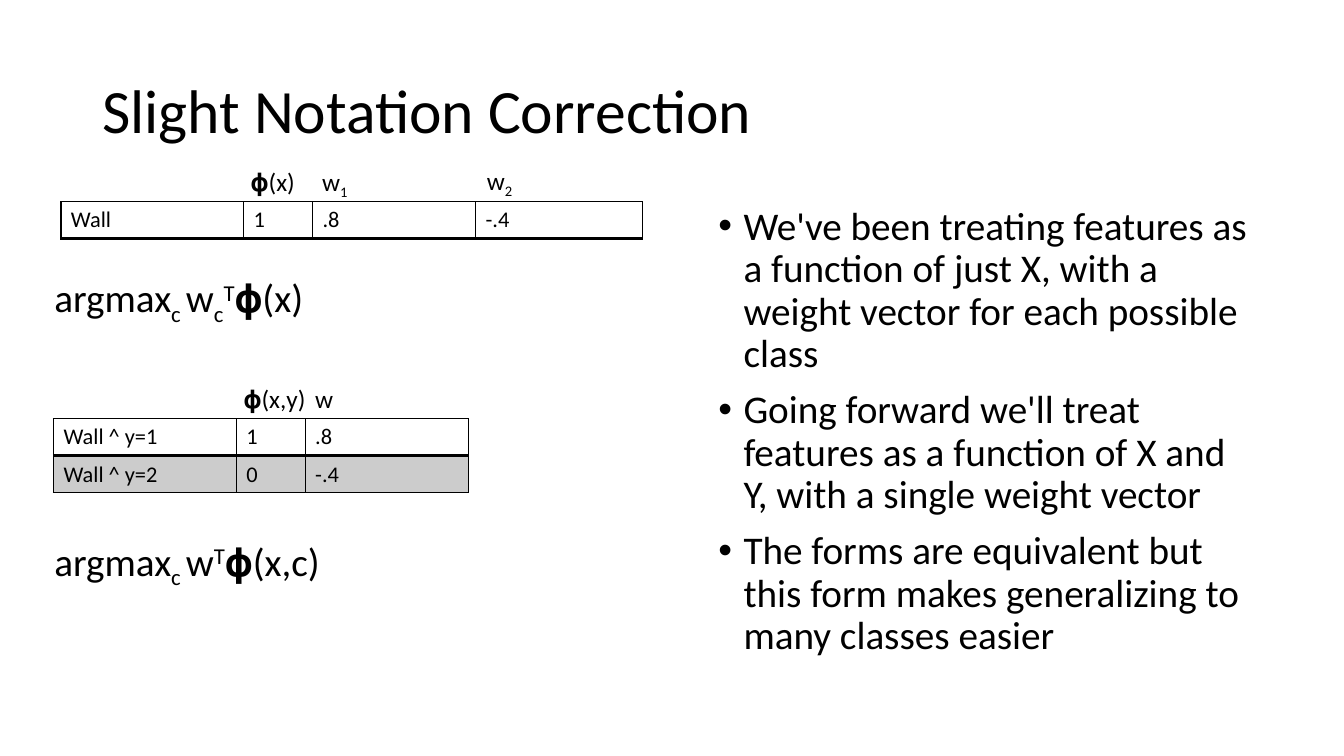
from pptx import Presentation
from pptx.dml.color import RGBColor
from pptx.enum import text
from pptx.oxml import parse_xml
from pptx.oxml.ns import nsdecls, qn
from pptx.util import Pt

COLORS = {"ink": "000000"}
FONT = "Calibri"
SUB, SUPER = -25000, 30000
FEATURE, VALUE, WEIGHT_1, WEIGHT_2 = 130.5, 49.25, 116.5, 119


def style(paragraph, size):
    font = paragraph.font
    font.name, font.size = FONT, Pt(size)
    font.color.rgb = RGBColor.from_string(COLORS["ink"])


def add_box(slide, left, top, width, height, wrap=True):
    shape = slide.shapes.add_textbox(Pt(left), Pt(top), Pt(width), Pt(height))
    shape.text_frame.word_wrap = wrap
    return shape.text_frame


def add_title(slide, title):
    frame = add_box(slide, 66, 28.75, 828, 104.5)
    frame.vertical_anchor = text.MSO_ANCHOR.MIDDLE
    paragraph = frame.paragraphs[0]
    paragraph.text = title
    paragraph.line_spacing = 0.9
    style(paragraph, 44)


def add_bullets(slide, items):
    frame = add_box(slide, 506, 144, 397.5, 384.5)
    for index, item in enumerate(items):
        paragraph = frame.add_paragraph() if index else frame.paragraphs[0]
        paragraph.text = item
        paragraph.line_spacing = 0.9
        if index:
            paragraph.space_before = Pt(10)
        properties = paragraph._p.get_or_add_pPr()
        properties.set("marL", str(Pt(18)))
        properties.set("indent", str(Pt(-18)))
        properties.append(parse_xml(f'<a:buFont {nsdecls("a")} typeface="Arial"/>'))
        properties.append(parse_xml(f'<a:buChar {nsdecls("a")} char="•"/>'))
        style(paragraph, 28)


def add_notation(slide, left, top, width, height, size, parts, wrap=True):
    """Write one line from (words, baseline shift) parts."""
    paragraph = add_box(slide, left, top, width, height, wrap).paragraphs[0]
    for words, baseline in parts:
        run = paragraph.add_run()
        run.text = words
        if baseline:
            run._r.get_or_add_rPr().set("baseline", str(baseline))
    style(paragraph, size)


def add_borders(cell, bottom_width):
    properties = cell._tc.get_or_add_tcPr()
    for side in "LRTB":
        width = Pt(bottom_width if side == "B" else 1)
        properties.append(parse_xml(
            f'<a:ln{side} {nsdecls("a")} w="{width}"><a:solidFill>'
            f'<a:srgbClr val="{COLORS["ink"]}"/></a:solidFill></a:ln{side}>'))


def shade(cell, opacity):
    cell.fill.solid()
    cell.fill.fore_color.rgb = RGBColor.from_string(COLORS["ink"])
    color = cell._tc.tcPr.find(qn("a:solidFill"))[0]
    color.append(parse_xml(f'<a:alpha {nsdecls("a")} val="{opacity * 1000}"/>'))


def add_weights(slide, left, top, widths, rows):
    """Draw a feature table; rows after the first are shaded."""
    row_height = 26.5
    table = slide.shapes.add_table(
        len(rows), len(widths), Pt(left), Pt(top),
        Pt(sum(widths)), Pt(row_height * len(rows))).table
    table.first_row = table.horz_banding = False
    for column, width in zip(table.columns, widths):
        column.width = Pt(width)
    for row_index, values in enumerate(rows):
        table.rows[row_index].height = Pt(row_height)
        for column_index, value in enumerate(values):
            cell = table.cell(row_index, column_index)
            cell.text = value
            style(cell.text_frame.paragraphs[0], 16)
            add_borders(cell, 1 if row_index else 2)
            if row_index:
                shade(cell, 20)
            else:
                cell.fill.background()


def main():
    presentation = Presentation()
    presentation.slide_width, presentation.slide_height = Pt(960), Pt(540)
    slide = presentation.slides.add_slide(presentation.slide_layouts[6])

    add_title(slide, "Slight Notation Correction")
    add_bullets(slide, [
        "We've been treating features as a function of just X, "
        "with a weight vector for each possible class",
        "Going forward we'll treat features as a function of X and Y, "
        "with a single weight vector",
        "The forms are equivalent but this form makes generalizing "
        "to many classes easier",
    ])

    add_weights(slide, 43.5, 144, [FEATURE, VALUE, WEIGHT_1, WEIGHT_2],
                [["Wall", "1", ".8", "-.4"]])
    add_weights(slide, 38.25, 299, [FEATURE, VALUE, WEIGHT_1],
                [["Wall ^ y=1", "1", ".8"], ["Wall ^ y=2", "0", "-.4"]])

    for left, top, width, wrap, parts in [
        (172, 115.25, 47.5, False, [("𝛟(x)", 0)]),
        (223, 115.25, 36.5, True, [("w", 0), ("1", SUB)]),
        (340.75, 114.5, 36.5, True, [("w", 0), ("2", SUB)]),
        (167, 270.5, 60.5, False, [("𝛟(x,y)", 0)]),
        (218, 270.5, 36.5, True, [("w", 0)]),
    ]:
        add_notation(slide, left, top, width, 29, 18, parts, wrap)

    argmax = [("argmax", 0), ("c ", SUB), ("w", 0)]
    for top, rest in [
        (192, [("c", SUB), ("T", SUPER), ("𝛟(x)", 0)]),
        (380, [("T", SUPER), ("𝛟(x,c)", 0)]),
    ]:
        add_notation(slide, 31.75, top, 348.5, 63.5, 28, argmax + rest)

    presentation.save("out.pptx")


if __name__ == "__main__":
    main()
